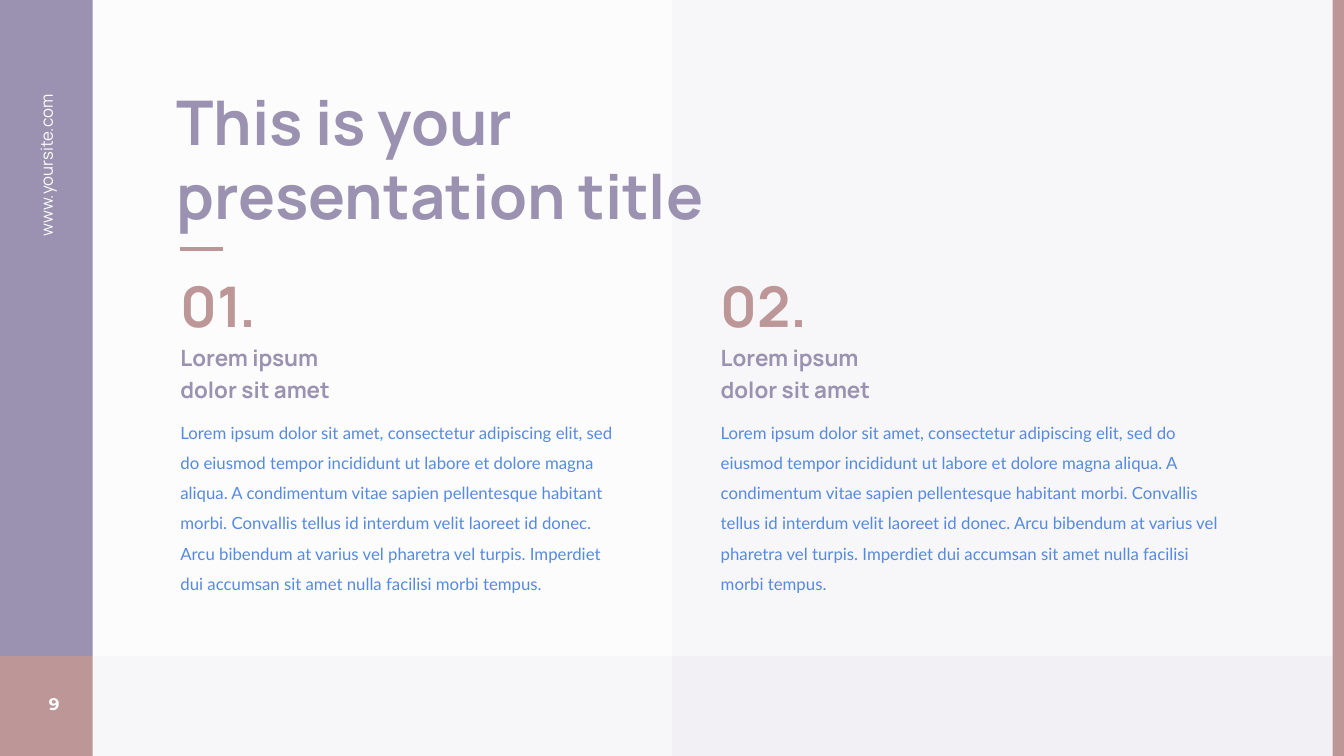
"""Build a title slide with two numbered text columns and a coloured side bar."""
from lxml import etree
from pptx import Presentation
from pptx.dml.color import RGBColor
from pptx.enum import shapes, text
from pptx.oxml import ns
from pptx.util import Pt

PAPER = RGBColor(0xFC, 0xFC, 0xFC)
PURPLE = RGBColor(0x9A, 0x92, 0xB0)
ROSE = RGBColor(0xBD, 0x96, 0x98)
BLUE = RGBColor(0x56, 0x8A, 0xE0)

WIDTH, HEIGHT = 960, 540
SIDE_W, FOOT_Y = 66.24, 468.72
FOOT_H = HEIGHT - FOOT_Y

BODY = (
    "Lorem ipsum dolor sit amet, consectetur adipiscing elit, sed do eiusmod "
    "tempor incididunt ut labore et dolore magna aliqua. A condimentum vitae "
    "sapien pellentesque habitant morbi. Convallis tellus id interdum velit "
    "laoreet id donec. Arcu bibendum at varius vel pharetra vel turpis. "
    "Imperdiet dui accumsan sit amet nulla facilisi morbi tempus."
)
COLUMNS = [("01.", 128.88, 316.8), ("02.", 514.8, 356.4)]


def add_block(s, x, y, w, h, color, alpha=None):
    sp = s.shapes.add_shape(shapes.MSO_SHAPE.RECTANGLE, Pt(x), Pt(y), Pt(w), Pt(h))
    sp.shadow.inherit = False
    sp.fill.solid()
    sp.fill.fore_color.rgb = color
    sp.line.fill.background()
    if alpha is not None:
        clr = sp.element.spPr.find(".//" + ns.qn("a:srgbClr"))
        etree.SubElement(clr, ns.qn("a:alpha"), val=str(alpha * 1000))
    return sp


def format_text(tf, words, size, font, color, bold=False, spacing=None, align=text.PP_ALIGN.LEFT):
    tf.word_wrap = True
    tf.text = words
    p = tf.paragraphs[0]
    p.alignment = align
    if spacing:
        p.line_spacing = spacing
    for r in p.runs:
        r.font.size = Pt(size)
        r.font.name = font
        r.font.bold = bold
        r.font.color.rgb = color


def add_text(s, x, y, w, h, words, size, font, color, inset=True, **style):
    sp = s.shapes.add_textbox(Pt(x), Pt(y), Pt(w), Pt(h))
    tf = sp.text_frame
    if not inset:
        tf.margin_left = tf.margin_right = tf.margin_top = tf.margin_bottom = 0
    format_text(tf, words, size, font, color, **style)
    return sp


def add_rule(s, x, y, length, color, weight):
    ln = s.shapes.add_connector(
        shapes.MSO_CONNECTOR.STRAIGHT, Pt(x), Pt(y), Pt(x + length), Pt(y))
    ln.line.color.rgb = color
    ln.line.width = Pt(weight)
    etree.SubElement(ln.element.spPr, ns.qn("a:effectLst"))


def set_title(s, words):
    sp = s.shapes.title
    sp.left, sp.top, sp.width, sp.height = Pt(118.8), Pt(56.16), Pt(523.44), Pt(113.76)
    sp.text_frame.vertical_anchor = text.MSO_ANCHOR.TOP
    sp.text_frame.auto_size = text.MSO_AUTO_SIZE.NONE
    format_text(sp.text_frame, words, 44, "Manrope", PURPLE, bold=True)
    sp.element.getparent().append(sp.element)


def add_side_bar(s):
    add_block(s, 0, 0, SIDE_W, FOOT_Y, PURPLE)
    add_block(s, 0, FOOT_Y, SIDE_W, FOOT_H, ROSE)
    number = add_text(s, 17.28, 488.16, 32.4, 28.8, "9", 12, "Montserrat", PAPER,
                      bold=True, align=text.PP_ALIGN.RIGHT)
    number.text_frame.vertical_anchor = text.MSO_ANCHOR.MIDDLE
    site = add_text(s, -66.24, 149.04, 198.72, 21.6, "www.yoursite.com", 12, "Manrope",
                    PAPER, align=text.PP_ALIGN.RIGHT)
    site.rotation = 270


def add_column(s, number, x, w):
    add_text(s, x, 294.48, w, 128.16, BODY, 12, "Lato", BLUE, inset=False, spacing=1.5)
    add_text(s, x, 241.92, 184.32, 44.64, "Lorem ipsum\vdolor sit amet", 16, "Manrope",
             PURPLE, inset=False, bold=True, spacing=1.2)
    add_text(s, x, 184.32, 77.76, 54.72, number, 40, "Manrope", ROSE,
             inset=False, bold=True, spacing=1.2)


def main():
    prs = Presentation()
    prs.slide_width, prs.slide_height = Pt(WIDTH), Pt(HEIGHT)
    s = prs.slides.add_slide(prs.slide_layouts[5])
    s.background.fill.solid()
    s.background.fill.fore_color.rgb = PAPER

    add_block(s, 0, FOOT_Y, WIDTH, FOOT_H, PURPLE, alpha=5)
    add_side_bar(s)
    add_block(s, WIDTH / 2, 0, 493.2, HEIGHT, PURPLE, alpha=5)
    add_block(s, 952, 0, 8, HEIGHT, ROSE)
    for number, x, w in COLUMNS:
        add_column(s, number, x, w)
    set_title(s, "This is your presentation title")
    add_rule(s, 128.4, 177.84, 30.96, ROSE, 3)
    prs.save("out.pptx")


if __name__ == "__main__":
    main()
